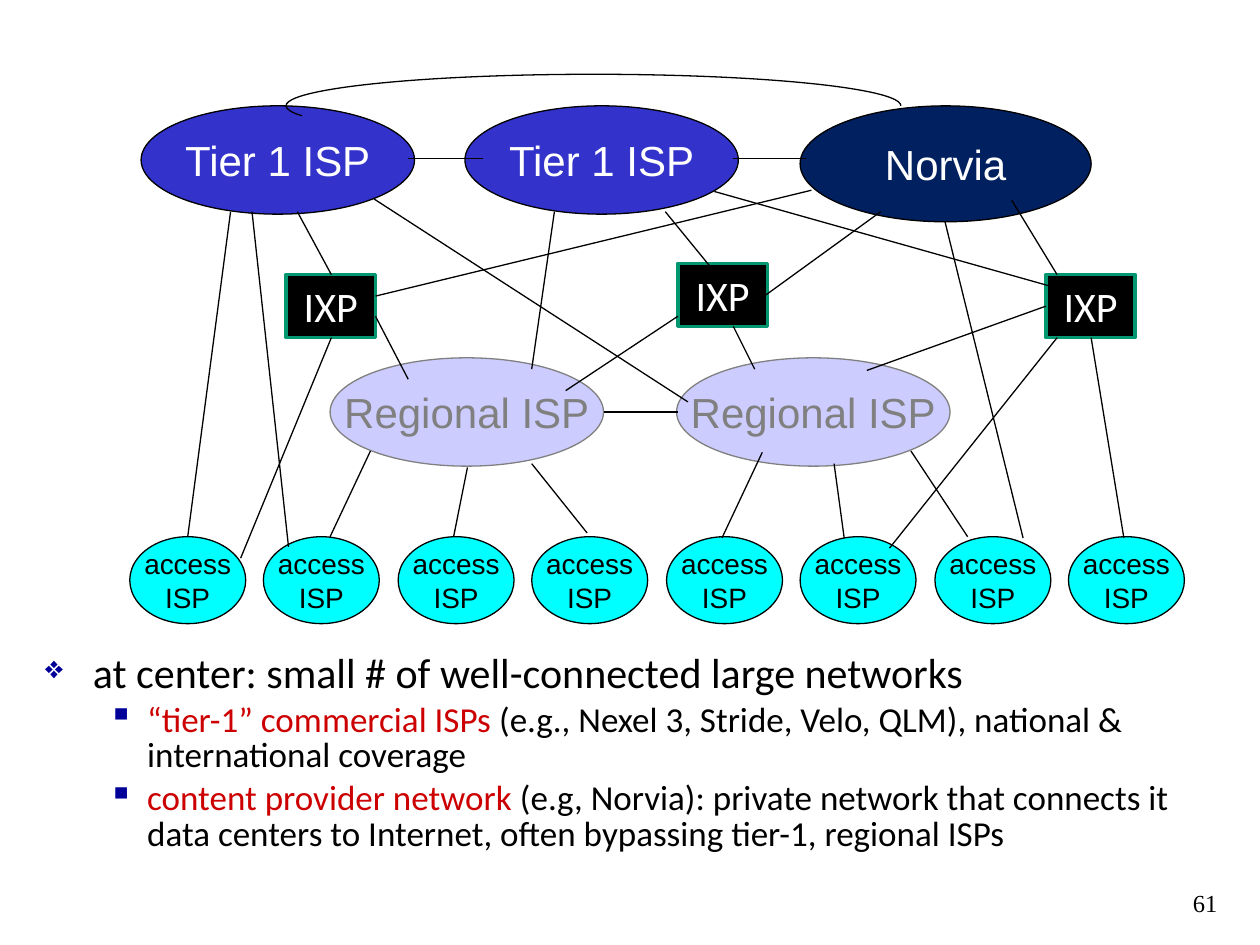
from lxml.etree import SubElement as Sub
from pptx import Presentation
from pptx.dml.color import RGBColor
from pptx.enum.shapes import MSO_CONNECTOR as Conn, MSO_SHAPE as Kind
from pptx.enum.text import MSO_ANCHOR as Anchor, PP_ALIGN as Align
from pptx.oxml.ns import qn
from pptx.util import Pt

PX = 9144  # 100 px to the inch

# Node styles
TIER = dict(kind=Kind.OVAL, w=217, h=86, fill="3333CC", edge="000000", line=0.75,
            font="Arial", size=24, ink="FFFFFF", wrap=False)
STYLES = {
    "tier": TIER,
    "content": TIER | dict(w=231, h=92, fill="002060"),
    "region": TIER | dict(fill="CCCCFF", edge="808080", ink="808080"),
    "access": TIER | dict(w=92, h=69, fill="00FFFF", size=16, ink="000000"),
    "ixp": TIER | dict(kind=Kind.RECTANGLE, w=71, h=50, fill="000000", edge="009771",
                       line=2, font="Calibri", wrap=True),
}

# Nodes: style, words, left and top of each
COUNT, FIRST, LAST = 8, 103, 848
NODES = [
    ("access", "access\nISP",
     [(FIRST + round((LAST - FIRST) * i / (COUNT - 1)), 426) for i in range(COUNT)]),
    ("region", "Regional ISP", [(262, 284), (537, 284)]),
    ("ixp", "IXP", [(227, 218), (538, 209), (830, 218)]),
    ("tier", "Tier 1 ISP", [(112, 84), (369, 84)]),
    ("content", "Norvia", [(635, 84)]),
]

# Links: x and y of both ends
LINKS = [
    # between peers
    (383, 126, 324, 126), (640, 126, 582, 126), (538, 327, 479, 327),
    # top row to access
    (183, 168, 149, 426), (200, 168, 229, 434), (750, 176, 812, 427),
    # top row to regional
    (440, 168, 422, 293), (297, 158, 546, 319),
    # top row to exchange points
    (236, 168, 263, 218), (528, 168, 573, 223), (567, 152, 833, 227),
    (644, 151, 298, 235), (699, 168, 608, 234), (803, 159, 839, 218),
    # exchange points to regional
    (298, 251, 324, 301), (582, 259, 599, 293), (538, 251, 449, 310),
    (830, 243, 688, 294),
    # exchange points to access
    (263, 268, 191, 443), (866, 268, 892, 427), (839, 268, 706, 435),
    # regional to access
    (294, 358, 262, 426), (371, 371, 360, 426), (422, 368, 466, 423),
    (605, 359, 573, 427), (662, 368, 670, 427), (723, 358, 768, 426),
]
ARC = (227, 59, 488, 50)

# Body: level, runs of words and colour
BODY = [
    (0, [("at center: small # of well-connected large networks", "000000")]),
    (1, [("“tier-1” commercial ISPs ", "CC0000"),
         ("(e.g., Nexel 3, Stride, Velo, QLM), national & international coverage",
          "000000")]),
    (1, [("content provider network ", "CC0000"),
         ("(e.g, Norvia): private network that connects it data centers to Internet, "
          "often bypassing tier-1, regional ISPs", "000000")]),
]
LEVELS = [
    dict(size=24, mark="❖", scale=75, left=38, hang=38, gap=0),
    dict(size=20, mark="▪", scale=100, left=81, hang=31, gap=4),
]


def px(*vals):
    return [round(v * PX) for v in vals]


def hue(code):
    return RGBColor.from_string(code)


def put(obj, **vals):
    for key, val in vals.items():
        setattr(obj, key, val)


def ink(font, face, size, code):
    put(font, name=face, size=Pt(size))
    font.color.rgb = hue(code)


def edge(line, code, width):
    line.color.rgb = hue(code)
    line.width = Pt(width)


def node(page, look, words, x, y):
    shape = page.add_shape(look["kind"], *px(x, y, look["w"], look["h"]))
    shape.shadow.inherit = False
    shape.fill.solid()
    shape.fill.fore_color.rgb = hue(look["fill"])
    edge(shape.line, look["edge"], look["line"])
    frame = shape.text_frame
    put(frame, text=words, word_wrap=look["wrap"], vertical_anchor=Anchor.MIDDLE)
    for para in frame.paragraphs:
        para.alignment = Align.CENTER
        ink(para.font, look["font"], look["size"], look["ink"])


def link(page, ends):
    wire = page.add_connector(Conn.STRAIGHT, *px(*ends))
    edge(wire.line, "000000", 0.75)
    Sub(wire._element.spPr, qn("a:effectLst"))


def bullet(para, look):
    left, hang = px(look["left"], look["hang"])
    props = para._p.get_or_add_pPr()
    props.set("marL", str(left))
    props.set("indent", str(-hang))
    tint = Sub(props, qn("a:buClr"))
    Sub(tint, qn("a:srgbClr"), val="000099")
    Sub(props, qn("a:buSzPct"), val=str(look["scale"] * 1000))
    Sub(props, qn("a:buChar"), char=look["mark"])


def body(page):
    frame = page.add_textbox(*px(26, 514, 923, 176)).text_frame
    frame.word_wrap = True
    for i, (level, runs) in enumerate(BODY):
        look = LEVELS[level]
        para = frame.add_paragraph() if i else frame.paragraphs[0]
        bullet(para, look)
        put(para, level=level, line_spacing=0.85, space_before=Pt(look["gap"]))
        for words, code in runs:
            run = para.add_run()
            run.text = words
            ink(run.font, "Calibri", look["size"], code)


def main():
    deck = Presentation()
    wide, high = px(1000, 750)
    put(deck, slide_width=wide, slide_height=high)
    page = deck.slides.add_slide(deck.slide_layouts[6]).shapes

    body(page)

    # Network
    for style, words, spots in NODES:
        for x, y in spots:
            node(page, STYLES[style], words, x, y)
    for ends in LINKS:
        link(page, ends)

    # Arc from the first tier 1 to the content provider
    arc = page.add_shape(Kind.ARC, *px(*ARC))
    arc.shadow.inherit = False
    arc.adjustments[0] = 106.82
    arc.adjustments[1] = 0
    arc.fill.background()
    edge(arc.line, "000000", 0.75)

    # Page number
    frame = page.add_textbox(*px(908, 700, 68, 50)).text_frame
    put(frame, text="61", word_wrap=True)
    para = frame.paragraphs[0]
    para.alignment = Align.RIGHT
    ink(para.font, "Times New Roman", 14, "000000")

    deck.save("out.pptx")


if __name__ == "__main__":
    main()
